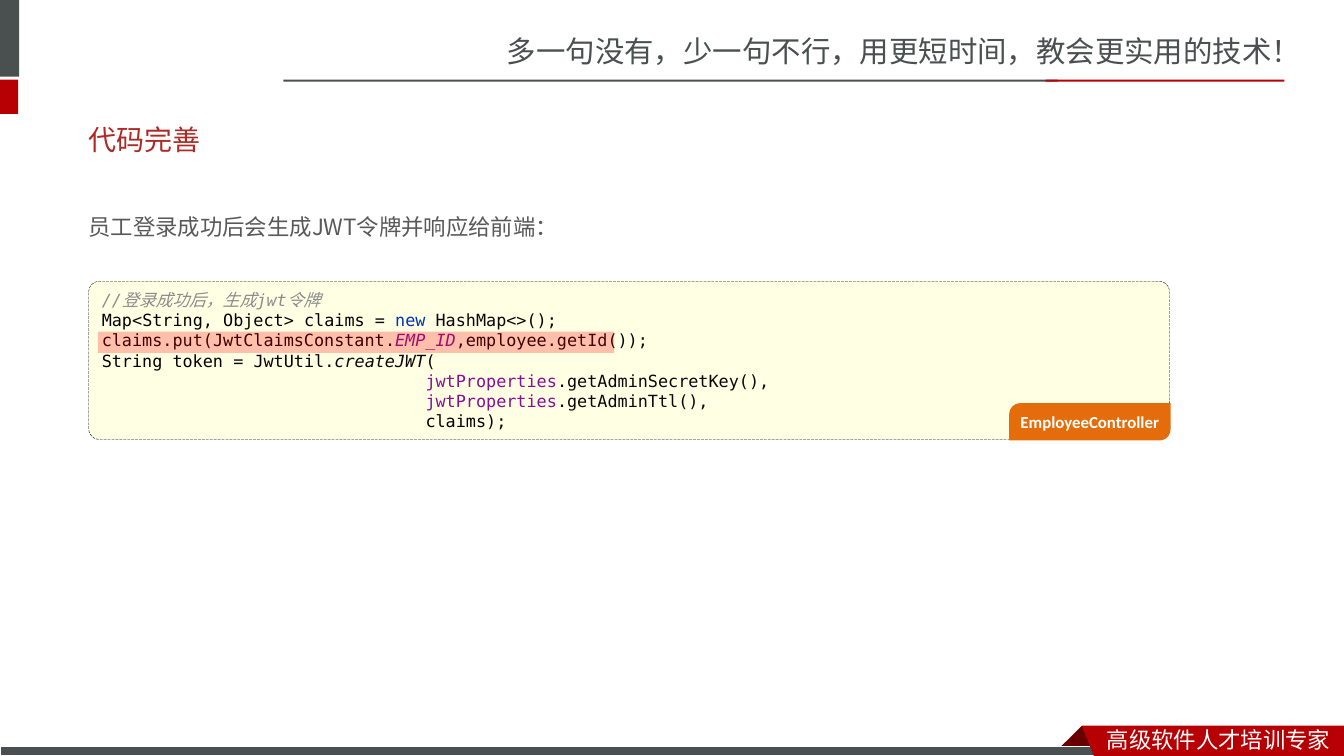
from dataclasses import dataclass

from lxml import etree
from pptx import Presentation
from pptx.dml.color import RGBColor
from pptx.enum.dml import MSO_LINE
from pptx.enum.shapes import MSO_SHAPE as Shape
from pptx.enum.text import MSO_ANCHOR as Anchor, PP_ALIGN as Align
from pptx.oxml.ns import qn
from pptx.util import Inches, Pt


@dataclass(frozen=True)
class Theme:
    white: str = "FFFFFF"
    black: str = "000000"
    slate: str = "49504F"
    red: str = "B60004"
    dark_red: str = "680000"
    title_red: str = "AD2A26"
    body: str = "595959"
    code_fill: str = "FFFFE4"
    badge_fill: str = "E46C0A"
    highlight: str = "FF0000"
    comment: str = "8C8C8C"
    keyword: str = "0033B3"
    field: str = "871094"
    punctuation: str = "080808"
    slogan_size: int = 21
    title_size: int = 20
    body_size: int = 16
    code_size: int = 12
    cjk: str = "Noto Sans CJK SC"
    body_font: str = "Noto Sans CJK JP"
    label_font: str = "Calibri"
    mono: str = "DejaVu Sans Mono"


class SlideBuilder:
    def __init__(self, slide, theme):
        self.slide = slide
        self.theme = theme

    def paint(self, shape, fill, line=None, width=0.75, dash=None, alpha=None):
        shape.shadow.inherit = False
        shape.fill.solid()
        shape.fill.fore_color.rgb = RGBColor.from_string(fill)
        if alpha is not None:
            color = shape.fill._xPr.find(qn("a:solidFill"))[0]
            etree.SubElement(color, qn("a:alpha")).set("val", str(alpha * 1000))
        if line is None:
            shape.line.fill.background()
        else:
            shape.line.color.rgb = RGBColor.from_string(line)
            shape.line.width = Pt(width)
            if dash is not None:
                shape.line.dash_style = dash
        return shape

    def block(self, box, fill, kind=Shape.RECTANGLE, adjust=(), **style):
        shape = self.slide.shapes.add_shape(kind, *map(Inches, box))
        for index, value in enumerate(adjust):
            shape.adjustments[index] = value
        return self.paint(shape, fill, **style)

    def outline(self, points, fill):
        start, *rest = [(Inches(x), Inches(y)) for x, y in points]
        builder = self.slide.shapes.build_freeform(*start)
        builder.add_line_segments(rest, close=True)
        return self.paint(builder.convert_to_shape(), fill)

    def run(self, paragraph, text, color, size, font, east_asian=None, **format_values):
        run = paragraph.add_run()
        run.text = text
        values = {"size": Pt(size), "name": font, **format_values}
        for attribute, value in values.items():
            setattr(run.font, attribute, value)
        run.font.color.rgb = RGBColor.from_string(color)
        east = etree.SubElement(run.font._element, qn("a:ea"))
        east.set("typeface", east_asian or font)

    def label(self, box, text, color, size, font, anchor=Anchor.TOP, spacing=None, **run_style):
        frame = self.slide.shapes.add_textbox(*map(Inches, box)).text_frame
        frame.word_wrap = True
        frame.vertical_anchor = anchor
        if spacing:
            frame.paragraphs[0].line_spacing = spacing
        self.run(frame.paragraphs[0], text, color, size, font, **run_style)

    def badge(self, box, text):
        t = self.theme
        badge = self.block(box, t.badge_fill, Shape.ROUND_2_DIAG_RECTANGLE, (0.296, 0))
        frame = badge.text_frame
        margins = dict.fromkeys(("margin_left", "margin_top", "margin_right", "margin_bottom"), 0)
        for attribute, value in {**margins, "vertical_anchor": Anchor.MIDDLE}.items():
            setattr(frame, attribute, value)
        frame.paragraphs[0].alignment = Align.CENTER
        self.run(frame.paragraphs[0], text, t.white, t.code_size, t.label_font, bold=True)

    def code(self, box, lines):
        t = self.theme
        panel = self.block(box, t.code_fill, Shape.ROUNDED_RECTANGLE, (0.068,),
                           line=t.black, width=0.25, dash=MSO_LINE.LONG_DASH)
        frame = panel.text_frame
        frame.word_wrap = True
        frame.vertical_anchor = Anchor.MIDDLE
        for number, tokens in enumerate(lines):
            paragraph = frame.add_paragraph() if number else frame.paragraphs[0]
            paragraph.alignment = Align.LEFT
            for text, color, *italic in tokens:
                self.run(paragraph, text, color, t.code_size, t.mono, t.cjk, italic=bool(italic))


def java_lines(t):
    indent = " " * 32
    name, mark = t.black, t.punctuation
    return [
        [("//登录成功后，生成jwt令牌", t.comment, "italic")],
        [("Map", name), ("<", mark), ("String", name), (", ", mark), ("Object", name),
         ("> ", mark), ("claims ", name), ("= ", mark), ("new ", t.keyword),
         ("HashMap<>();", mark)],
        [("claims", name), (".put(", mark), ("JwtClaimsConstant", name), (".", mark),
         ("EMP_ID", t.field, "italic"), (",", mark), ("employee", name), (".getId());", mark)],
        [("String token ", name), ("= ", mark), ("JwtUtil", name), (".", mark),
         ("createJWT", mark, "italic"), ("(", mark)],
        [(indent, mark), ("jwtProperties", t.field), (".getAdminSecretKey(),", mark)],
        [(indent, mark), ("jwtProperties", t.field), (".getAdminTtl(),", mark)],
        [(indent, mark), ("claims", name), (");", mark)],
    ]


def main():
    deck = Presentation()
    deck.slide_width, deck.slide_height = Inches(13.33), Inches(7.5)
    t = Theme()
    page = SlideBuilder(deck.slides.add_slide(deck.slide_layouts[6]), t)

    page.label((4.93, 0.28, 8.4, 0.47), "多一句没有，少一句不行，用更短时间，教会更实用的技术！",
               t.slate, t.slogan_size, t.cjk)
    for box, color in (
        ((0, 0, 0.19, 0.76), t.slate),
        ((0, 0.79, 0.18, 0.34), t.red),
        ((2.81, 0.79, 7.68, 0.02), t.slate),
        ((10.37, 0.79, 2.37, 0.02), t.red),
    ):
        page.block(box, color)

    page.outline([(10.73, 7.2), (10.95, 7.42), (10.94, 7.43), (10.52, 7.43), (10.51, 7.42)],
                 t.dark_red)
    page.block((0, 7.41, 10.99, 0.09), t.slate, line=t.white)
    page.outline([(10.73, 7.2), (13.33, 7.2), (13.33, 7.5), (10.85, 7.5)], t.red)
    page.label((10.88, 7.15, 2.45, 0.35), "高级软件人才培训专家", t.white, t.body_size, t.cjk)

    page.label((0.78, 1.1, 11.7, 0.57), "代码完善", t.title_red, t.title_size, t.label_font,
               anchor=Anchor.MIDDLE, east_asian=t.cjk)
    page.label((0.78, 1.8, 10.14, 0.56), "员工登录成功后会生成JWT令牌并响应给前端：",
               t.body, t.body_size, t.body_font, spacing=2.0)

    page.code((0.88, 2.79, 10.72, 1.57), java_lines(t))
    page.badge((10.01, 4, 1.6, 0.37), "EmployeeController")
    page.block((0.97, 3.29, 5.12, 0.21), t.highlight, alpha=25)
    deck.save("out.pptx")


if __name__ == "__main__":
    main()
